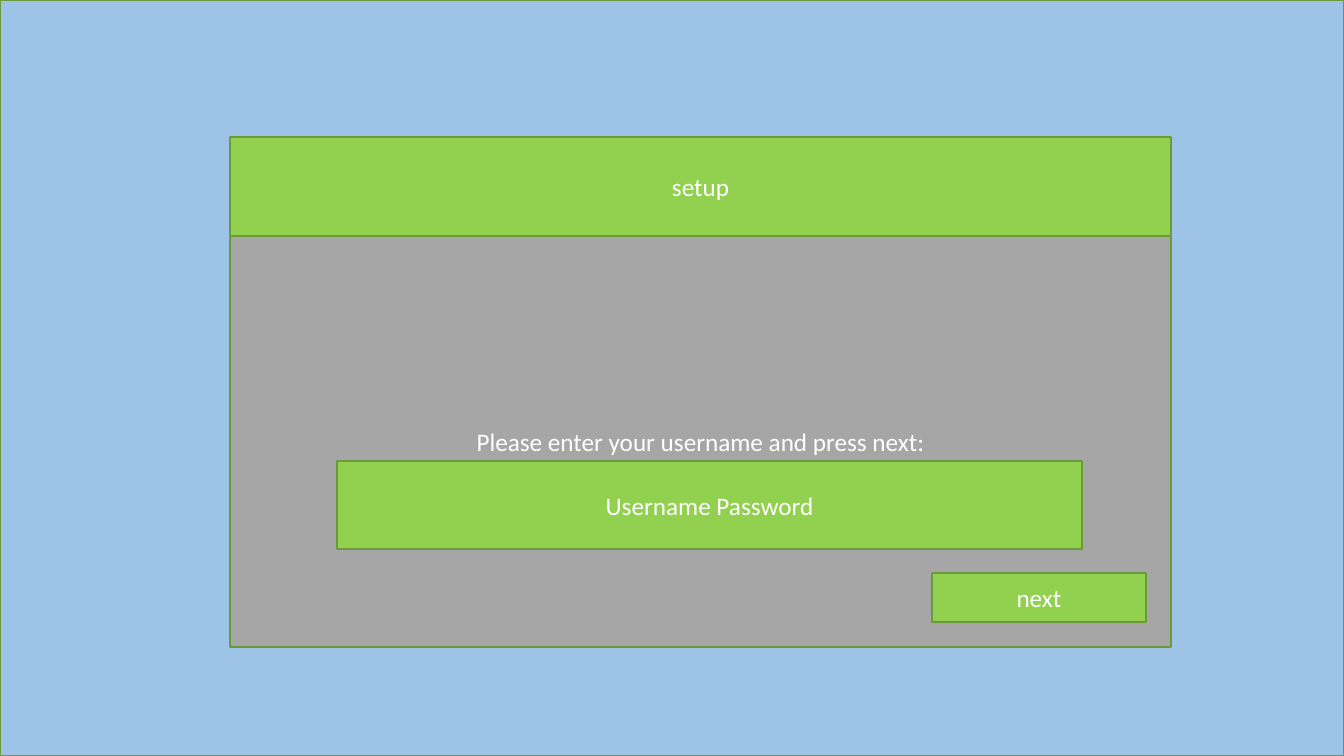
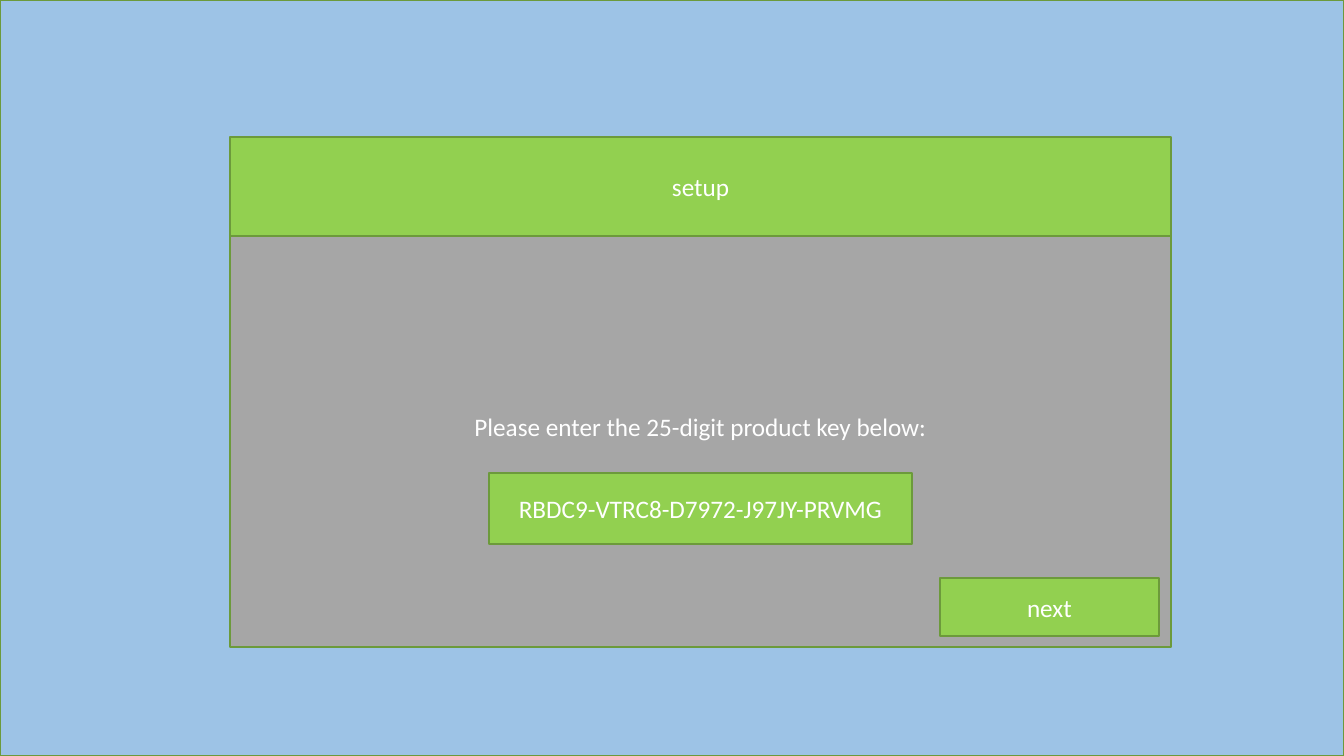
from pptx import Presentation
from pptx.dml.color import RGBColor
from pptx.enum.shapes import MSO_SHAPE
from pptx.enum.text import MSO_ANCHOR, MSO_AUTO_SIZE, PP_ALIGN
from pptx.util import Emu, Pt

WIDE, HIGH = 1344, 756
SCALE = 12192000 / WIDE  # EMU in one px
HEX = {"sky": "9DC3E6", "gray": "A6A6A6", "green": "92D050",
       "edge": "6C9A3B", "text": "FFFFFF"}
FONT = {"name": "Calibri", "size": Pt(18), "bold": False}
FRAME = {"word_wrap": True, "auto_size": MSO_AUTO_SIZE.NONE,
         "vertical_anchor": MSO_ANCHOR.MIDDLE}
PANEL = (230, 137, 941, 510)
HEAD = 99  # height of the panel's title bar

# Field and button boxes are relative to the panel; lift raises the prompt.
PAGES = [
    {"prompt": "Please enter your username and press next:", "lift": 0,
     "value": "Username Password",
     "field": (107, 324, 745, 88), "next": (702, 436, 214, 49)},
    {"prompt": "Please enter the 25-digit product key below:", "lift": 30,
     "value": "RBDC9-VTRC8-D7972-J97JY-PRVMG",
     "field": (259, 336, 423, 71), "next": (710, 441, 219, 58)},
]


def px(num):
    return Emu(round(num * SCALE))


def color(key):
    return RGBColor.from_string(HEX[key])


def assign(item, values):
    for key, value in values.items():
        setattr(item, key, value)


def style(shape, fill, text=""):
    """Give a box its fill, edge and centred text."""
    shape.shadow.inherit = False
    shape.fill.solid()
    shape.fill.fore_color.rgb = color(fill)
    shape.line.color.rgb = color("edge")
    shape.line.width = Pt(1)
    if text:
        frame = shape.text_frame
        assign(frame, FRAME)
        frame.text = text
        para = frame.paragraphs[0]
        assign(para, {"alignment": PP_ALIGN.CENTER, "line_spacing": 1.0})
        assign(para.font, FONT)
        para.font.color.rgb = color("text")
    return shape


def block(slide, box, fill, text=""):
    shape = slide.shapes.add_shape(MSO_SHAPE.RECTANGLE, *map(px, box))
    return style(shape, fill, text)


def header(slide, box):
    """Turn the title into the bar, in front of the panel body."""
    title = slide.shapes.title
    assign(title, dict(zip(("left", "top", "width", "height"), map(px, box))))
    style(title, "green", "setup")
    title.element.getparent().append(title.element)


def dialog(slide, box, page):
    """Place the setup window inside the given box."""
    left, top, wide, high = box

    # Panel body with prompt, then title bar
    body = block(slide, (left, top + HEAD, wide, high - HEAD),
                 "gray", page["prompt"])
    body.text_frame.margin_bottom = px(5 + page["lift"])
    header(slide, (left, top, wide, HEAD))

    # Entry field and button
    for part, text in (("field", page["value"]), ("next", "next")):
        x, y, w, h = page[part]
        block(slide, (left + x, top + y, w, h), "green", text)


def main():
    deck = Presentation()
    assign(deck, {"slide_width": px(WIDE), "slide_height": px(HIGH)})
    for page in PAGES:
        slide = deck.slides.add_slide(deck.slide_layouts[5])
        block(slide, (0, 0, WIDE, HIGH), "sky")
        dialog(slide, PANEL, page)
    deck.save("out.pptx")


if __name__ == "__main__":
    main()
